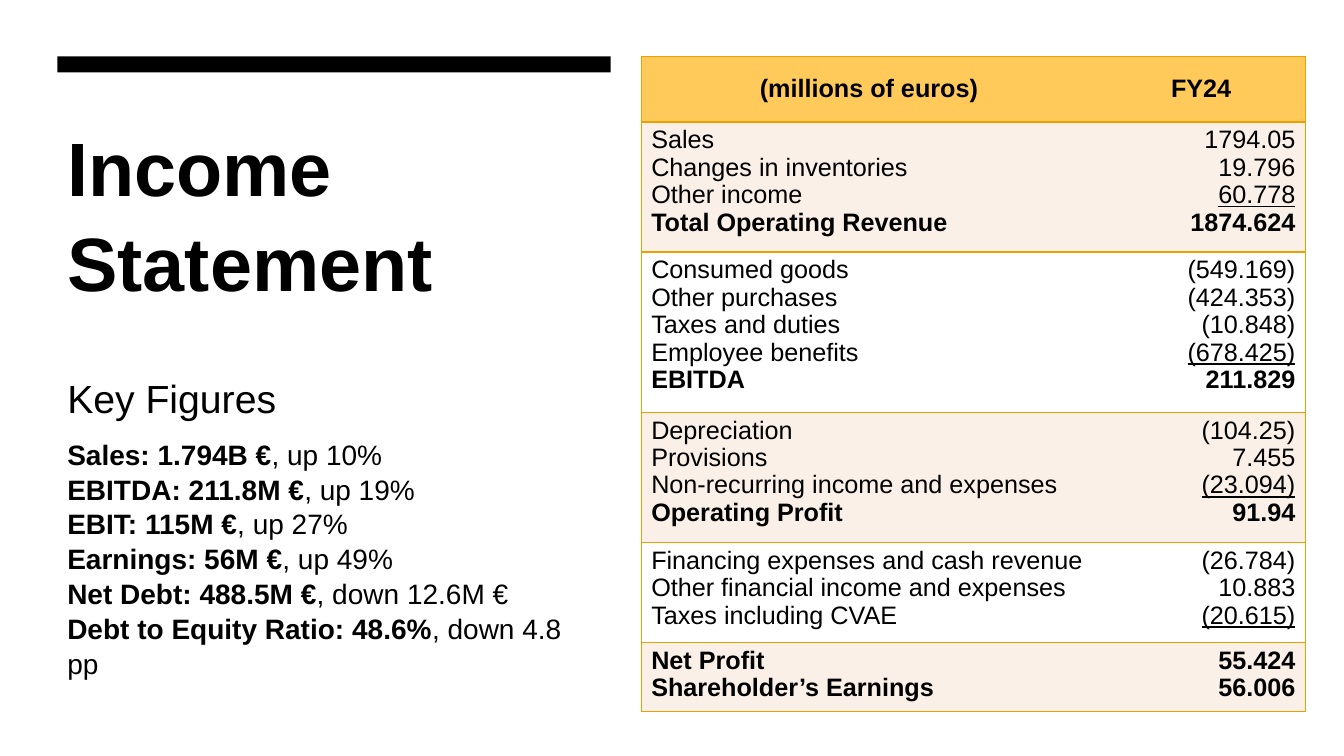
"""Build the income statement slide with its key figures and table."""
from lxml.etree import SubElement
from pptx import Presentation
from pptx.dml.color import RGBColor
from pptx.enum.shapes import MSO_SHAPE as Shape
from pptx.enum.text import MSO_ANCHOR as Anchor, PP_ALIGN as Align
from pptx.oxml.ns import qn
from pptx.util import Pt

BLACK = RGBColor(0, 0, 0)
WHITE = RGBColor(255, 255, 255)
GOLD = RGBColor(0xFF, 0xCA, 0x5A)
CREAM = RGBColor(0xFB, 0xF0, 0xE7)
BORDER = RGBColor(0xEB, 0xA0, 0x00)
FONT = "Arial"

TITLE = "Income Statement"
KEY_HEADING = "Key Figures"
KEY_FIGURES = [
    ("Sales: 1.794B €", ", up 10%"),
    ("EBITDA: 211.8M €", ", up 19%"),
    ("EBIT: 115M €", ", up 27%"),
    ("Earnings: 56M €", ", up 49%"),
    ("Net Debt: 488.5M €", ", down 12.6M €"),
    ("Debt to Equity Ratio: 48.6%", ", down 4.8 pp"),
]
HEADER = ("(millions of euros)", "FY24")
SECTIONS = [
    {"items": [("Sales", "1794.05"), ("Changes in inventories", "19.796"),
               ("Other income", "60.778")],
     "totals": [("Total Operating Revenue", "1874.624")]},
    {"items": [("Consumed goods", "(549.169)"), ("Other purchases", "(424.353)"),
               ("Taxes and duties", "(10.848)"), ("Employee benefits", "(678.425)")],
     "totals": [("EBITDA", "211.829")]},
    {"items": [("Depreciation", "(104.25)"), ("Provisions", "7.455"),
               ("Non-recurring income and expenses", "(23.094)")],
     "totals": [("Operating Profit", "91.94")]},
    {"items": [("Financing expenses and cash revenue", "(26.784)"),
               ("Other financial income and expenses", "10.883"),
               ("Taxes including CVAE", "(20.615)")],
     "totals": []},
    {"items": [],
     "totals": [("Net Profit", "55.424"), ("Shareholder’s Earnings", "56.006")]},
]
COLUMN_WIDTHS = (325.5, 149)
ROW_HEIGHTS = (46.8, 92.9, 114.5, 92.9, 71.3, 49.7)
LEFT, TOP, LEFT_WIDTH, TABLE_LEFT = 41, 40.3, 395.3, 458


def add_run(paragraph, text, size, bold=False, underline=False):
    run = paragraph.add_run()
    run.text = text
    run.font.name = FONT
    run.font.size = Pt(size)
    run.font.bold = bold
    run.font.underline = underline
    run.font.color.rgb = BLACK


def next_paragraph(frame, index):
    return frame.add_paragraph() if index else frame.paragraphs[0]


def add_text_frame(slide, top, width, height):
    box = slide.shapes.add_textbox(Pt(LEFT), Pt(top), Pt(width), Pt(height))
    box.text_frame.word_wrap = True
    return box.text_frame


def style_cell(cell, fill, column):
    properties = cell._tc.get_or_add_tcPr()
    visible = {"lnL": column == 0, "lnR": column == 1, "lnT": True, "lnB": True}
    for side, shown in visible.items():
        line = SubElement(properties, qn(f"a:{side}"), w=str(Pt(1)))
        if shown:
            solid = SubElement(line, qn("a:solidFill"))
            SubElement(solid, qn("a:srgbClr"), val=str(BORDER))
        else:
            SubElement(line, qn("a:noFill"))
    cell.fill.solid()
    cell.fill.fore_color.rgb = fill


def add_left_side(slide):
    bar = slide.shapes.add_shape(Shape.RECTANGLE, Pt(LEFT), Pt(TOP), Pt(LEFT_WIDTH), Pt(11.5))
    bar.shadow.inherit = False
    bar.fill.solid()
    bar.fill.fore_color.rgb = BLACK
    bar.line.fill.background()

    title = add_text_frame(slide, 77, LEFT_WIDTH, 154)
    title.margin_top = Pt(6)
    title.paragraphs[0].line_spacing = 1.05
    add_run(title.paragraphs[0], TITLE, 54, bold=True)

    figures = add_text_frame(slide, 262.8, 388, 250)
    heading = figures.paragraphs[0]
    heading.line_spacing = 1.04
    heading.space_after = Pt(10)
    add_run(heading, KEY_HEADING, 28)
    for figure, change in KEY_FIGURES:
        paragraph = figures.add_paragraph()
        paragraph.line_spacing = 1.04
        add_run(paragraph, figure, 20, bold=True)
        add_run(paragraph, change, 20)


def add_statement_table(slide):
    table = slide.shapes.add_table(
        len(ROW_HEIGHTS), len(COLUMN_WIDTHS), Pt(TABLE_LEFT), Pt(TOP),
        Pt(sum(COLUMN_WIDTHS)), Pt(sum(ROW_HEIGHTS))).table
    for column, width in zip(table.columns, COLUMN_WIDTHS):
        column.width = Pt(width)
    for row, height in zip(table.rows, ROW_HEIGHTS):
        row.height = Pt(height)

    for column, text in enumerate(HEADER):
        cell = table.cell(0, column)
        style_cell(cell, GOLD, column)
        cell.vertical_anchor = Anchor.MIDDLE
        paragraph = cell.text_frame.paragraphs[0]
        paragraph.alignment = Align.CENTER
        add_run(paragraph, text, 18, bold=True)

    for row, section in enumerate(SECTIONS, start=1):
        item_count = len(section["items"])
        entries = section["items"] + section["totals"]
        for column, alignment in enumerate((Align.LEFT, Align.RIGHT)):
            cell = table.cell(row, column)
            style_cell(cell, CREAM if row % 2 else WHITE, column)
            for index, entry in enumerate(entries):
                paragraph = next_paragraph(cell.text_frame, index)
                paragraph.alignment = alignment
                paragraph.line_spacing = 0.97
                add_run(paragraph, entry[column], 18, bold=index >= item_count,
                        underline=column == 1 and index == item_count - 1)


def main():
    presentation = Presentation()
    presentation.slide_width = Pt(960)
    presentation.slide_height = Pt(540)
    slide = presentation.slides.add_slide(presentation.slide_layouts[6])
    add_left_side(slide)
    add_statement_table(slide)
    presentation.save("out.pptx")


if __name__ == "__main__":
    main()
